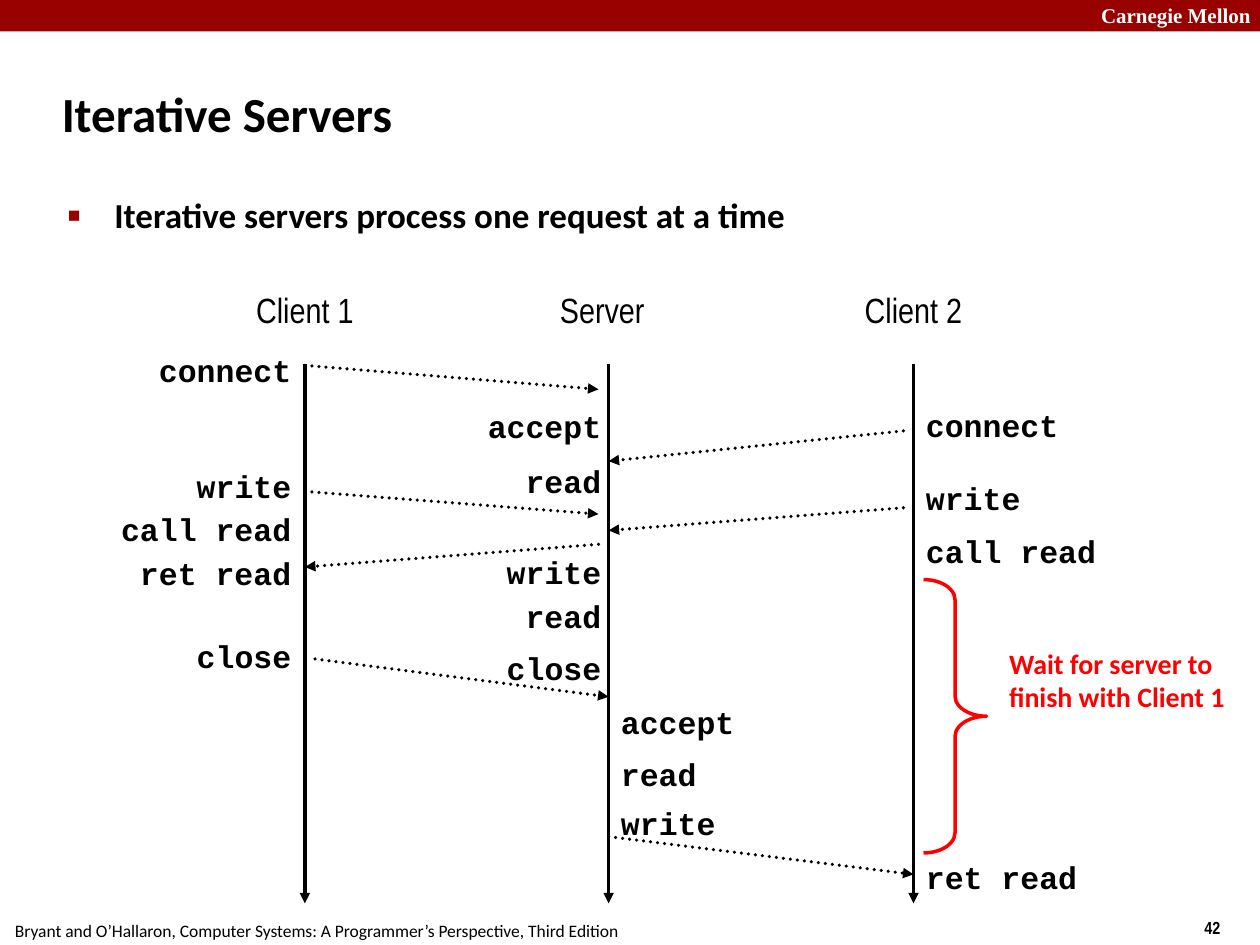
import pptx
import pptx.util
import pptx.dml.color
import pptx.enum.dml
import pptx.enum.shapes
import pptx.enum.text
import pptx.oxml
import pptx.oxml.ns

Inches = pptx.util.Inches
Pt = pptx.util.Pt
RGB = pptx.dml.color.RGBColor
ALIGN = pptx.enum.text.PP_ALIGN
ANCHOR = pptx.enum.text.MSO_ANCHOR
FIT = pptx.enum.text.MSO_AUTO_SIZE
SHAPE = pptx.enum.shapes.MSO_SHAPE

BLACK, WHITE = RGB(0, 0, 0), RGB(255, 255, 255)
CRIMSON, RED = RGB(0x99, 0, 0), RGB(255, 0, 0)
THEME = {
    "title": dict(name="Calibri", size=Pt(28), bold=True, color=BLACK),
    "bullet": dict(name="Calibri", size=Pt(20), bold=True, color=BLACK),
    "party": dict(name="Arial Narrow", size=Pt(20), bold=False, color=BLACK),
    "call": dict(name="Courier New", size=Pt(18), bold=True, color=BLACK),
    "wait": dict(name="Calibri", size=Pt(16), bold=True, color=RED),
    "school": dict(name="Times New Roman", size=Pt(12), bold=True, color=WHITE),
    "number": dict(name="Arial Narrow", size=Pt(10), bold=True, color=BLACK),
    "credit": dict(name="Calibri", size=Pt(10), bold=False, color=BLACK),
}

deck = pptx.Presentation()
deck.slide_width, deck.slide_height = Inches(10), Inches(7.5)
slide = deck.slides.add_slide(deck.slide_layouts[5])


def write(text, style, box, align=ALIGN.LEFT, wrap=False, holder=None, bullet=False):
    """Put styled text into a new text box, or into holder if one is given."""
    left, top, width, height = map(Inches, box)
    if holder is None:
        holder = slide.shapes.add_textbox(left, top, width, height)
    holder.left, holder.top, holder.width, holder.height = left, top, width, height
    holder.text_frame.word_wrap = wrap
    if not wrap:
        holder.text_frame.auto_size = FIT.SHAPE_TO_FIT_TEXT
    paragraph = holder.text_frame.paragraphs[0]
    paragraph.text = text
    paragraph.alignment = align
    if bullet:
        props = paragraph._p.get_or_add_pPr()
        props.set("marL", str(Inches(0.38)))
        props.set("indent", str(Inches(-0.37)))
        for tag, key, value in (("buSzPct", "val", "60000"), ("buFont", "typeface", "Arial"),
                                ("buChar", "char", "■")):
            props.append(props.makeelement(pptx.oxml.ns.qn("a:" + tag), {key: value}))
        props.insert(0, pptx.oxml.parse_xml(
            f'<a:buClr {pptx.oxml.ns.nsdecls("a")}><a:srgbClr val="{CRIMSON}"/></a:buClr>'))
    for key, value in THEME[style].items():
        for font in (run.font for run in paragraph.runs):
            if key == "color":
                font.color.rgb = value
            else:
                setattr(font, key, value)
    return holder


def arrow(start, end, dotted):
    line = slide.shapes.add_connector(
        pptx.enum.shapes.MSO_CONNECTOR.STRAIGHT, *map(Inches, (*start, *end)))
    line.line.color.rgb = BLACK
    line.line.width = Pt(2)
    outline = line.line._get_or_add_ln()
    if dotted:
        line.line.dash_style = pptx.enum.dml.MSO_LINE.ROUND_DOT
        outline.set("cap", "rnd")
    outline.append(outline.makeelement(pptx.oxml.ns.qn("a:tailEnd"), {"type": "triangle"}))
    properties = line._element.spPr
    properties.append(properties.makeelement(pptx.oxml.ns.qn("a:effectLst"), {}))


# Page furniture
banner = slide.shapes.add_shape(SHAPE.RECTANGLE, 0, 0, Inches(10), Inches(0.25))
banner.shadow.inherit = False
banner.fill.solid()
banner.fill.fore_color.rgb = CRIMSON
banner.line.fill.background()
write("Carnegie Mellon", "school", (8.64, -0.03, 1.43, 0.3), wrap=True)
write("42", "number", (9.46, 7.23, 0.75, 0.27))
write("Bryant and O’Hallaron, Computer Systems: A Programmer’s Perspective, Third Edition",
      "credit", (0.02, 7.25, 5.01, 0.27))

# Heading
title = write("Iterative Servers", "title", (0.39, 0.48, 8.3, 0.83), wrap=True,
              holder=slide.shapes.title)
title.text_frame.vertical_anchor = ANCHOR.MIDDLE
write("Iterative servers process one request at a time", "bullet",
      (0.43, 1.49, 8.64, 0.5), wrap=True, bullet=True)

# Timelines
CLIENT_1, SERVER, CLIENT_2 = 2.42, 4.83, 7.25
PARTY_WIDTH = 1.1
for name, center in (("Client 1", CLIENT_1), ("Server", SERVER - 0.05), ("Client 2", CLIENT_2)):
    write(name, "party", (center - PARTY_WIDTH / 2, 2.24, PARTY_WIDTH, 0.43), ALIGN.CENTER)
for x in (CLIENT_1, SERVER, CLIENT_2):
    arrow((x, 2.89), (x, 7.17), dotted=False)

# Messages
for start, end in (
    ((CLIENT_1, 2.9), (4.75, 3.09)),
    ((7.17, 3.42), (SERVER, 3.66)),
    ((CLIENT_1, 3.9), (4.75, 4.08)),
    ((7.17, 4.03), (SERVER, 4.21)),
    ((4.75, 4.32), (CLIENT_1, 4.5)),
    ((2.5, 5.23), (SERVER, 5.53)),
    ((SERVER, 6.64), (CLIENT_2, 6.94)),
):
    arrow(start, end, dotted=True)

# Calls: each column is set against one edge of its timeline
CHARACTER, MARGINS = 0.15, 0.2
columns = (
    (2.41, ALIGN.RIGHT, (("connect", 2.74), ("write", 3.66), ("call read", 4),
                         ("ret read", 4.35), ("close", 5.01))),
    (4.87, ALIGN.RIGHT, (("accept", 3.18), ("read", 3.62), ("write", 4.34),
                         ("read", 4.69), ("close", 5.1))),
    (SERVER, ALIGN.LEFT, (("accept", 5.53), ("read", 5.94), ("write", 6.33))),
    (CLIENT_2, ALIGN.LEFT, (("connect", 3.17), ("write", 3.75), ("call read", 4.17),
                            ("ret read", 6.76))),
)
for edge, align, calls in columns:
    for call, top in calls:
        width = CHARACTER * len(call) + MARGINS
        left = edge - width if align == ALIGN.RIGHT else edge
        write(call, "call", (left, top, width, 0.4), align)

# Client 2's wait
brace = slide.shapes.add_shape(SHAPE.RIGHT_BRACE, *map(Inches, (7.33, 4.6, 0.5, 2.17)))
brace.shadow.inherit = False
brace.adjustments[0] = 0.32
brace.fill.background()
brace.line.color.rgb = RED
brace.line.width = Pt(2)
write("Wait for server to finish with Client 1", "wait", (7.91, 5.08, 2.09, 0.63), wrap=True)

deck.save("out.pptx")
